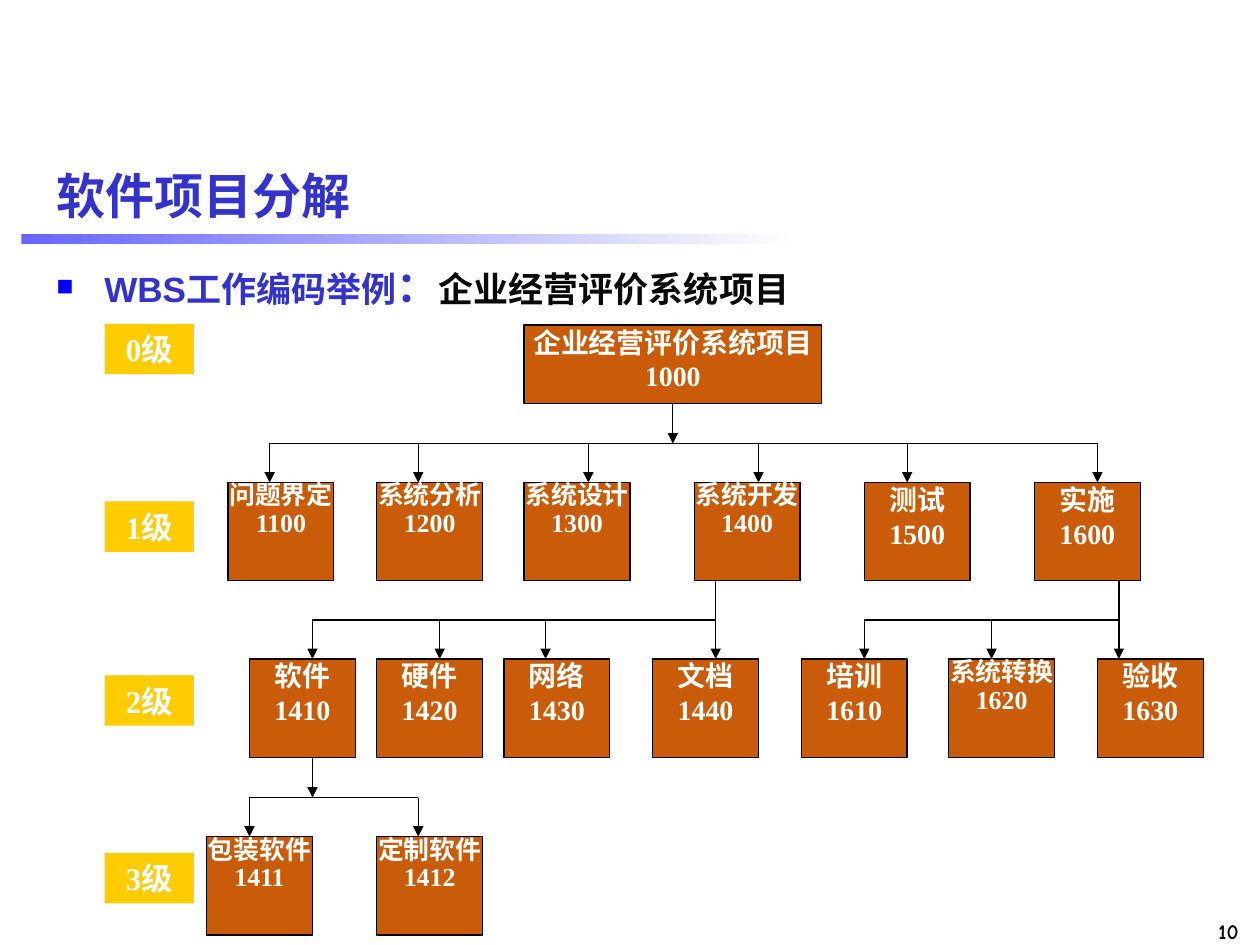
from lxml import etree
from pptx import Presentation
from pptx.dml.color import RGBColor
from pptx.enum.shapes import MSO_CONNECTOR, MSO_SHAPE
from pptx.enum.text import MSO_ANCHOR, PP_ALIGN
from pptx.oxml.ns import qn
from pptx.util import Inches, Pt

LEFT, CENTER, RIGHT = PP_ALIGN.LEFT, PP_ALIGN.CENTER, PP_ALIGN.RIGHT
TOP, MIDDLE = MSO_ANCHOR.TOP, MSO_ANCHOR.MIDDLE
RECTANGLE, STRAIGHT = MSO_SHAPE.RECTANGLE, MSO_CONNECTOR.STRAIGHT

BLUE, BULLET_BLUE, BLACK, WHITE = "3333CC", "0000FF", "000000", "FFFFFF"
BROWN, YELLOW = "CA5B08", "FFCC00"

TITLE = "软件项目分解"
HEADING = [("WBS工作编码举例", 20, BLUE), ("：", 24, BLUE),
           ("企业经营评价系统项目", 20, "080808")]
PAGE_NUMBER = "10"
LEVELS = [("0级", 2.57), ("1级", 3.98), ("2级", 5.36), ("3级", 6.77)]

ROOT = ("企业经营评价系统项目", "1000", 4.16)
TASK_ROWS = [
    (3.83, [("问题界定", "1100", 1.81), ("系统分析", "1200", 2.99),
            ("系统设计", "1300", 4.16), ("系统开发", "1400", 5.51),
            ("测试", "1500", 6.86), ("实施", "1600", 8.21)]),
    (5.23, [("软件", "1410", 1.98), ("硬件", "1420", 2.99),
            ("网络", "1430", 4), ("文档", "1440", 5.18),
            ("培训", "1610", 6.36), ("系统转换", "1620", 7.53),
            ("验收", "1630", 8.71)]),
    (6.64, [("包装软件", "1411", 1.64), ("定制软件", "1412", 2.99)]),
]
ROOT_TOP, ROOT_WIDTH, ROOT_HEIGHT = 2.58, 2.36, 0.62
TASK_WIDTH, TASK_HEIGHT, DROP = 0.84, 0.78, 0.31

BRANCHES = [
    {"stem": 5.34, "start": 3.2, "row": 3.83,
     "drops": [2.14, 3.32, 4.67, 6.02, 7.2, 8.71]},
    {"stem": 5.68, "start": 4.61, "row": 5.23, "drops": [2.48, 3.49, 4.33, 5.68]},
    {"stem": 8.88, "start": 4.61, "row": 5.23, "drops": [6.86, 7.87, 8.88]},
    {"stem": 2.48, "start": 6.01, "row": 6.64, "drops": [1.98, 3.32]},
]


def color(hex_value):
    return RGBColor.from_string(hex_value)


def write(shape, paragraphs, font="Times New Roman", size=16, fill=WHITE,
          align=CENTER, anchor=TOP, inset=(0, 0), spacing=None, wrap=True):
    frame = shape.text_frame
    frame.word_wrap = wrap
    frame.vertical_anchor = anchor
    frame.margin_left = frame.margin_right = Inches(inset[0])
    frame.margin_top = frame.margin_bottom = Inches(inset[1])
    for index, content in enumerate(paragraphs):
        paragraph = frame.add_paragraph() if index else frame.paragraphs[0]
        paragraph.alignment = align
        if spacing:
            paragraph.line_spacing = spacing
        runs = [(content, size, fill)] if isinstance(content, str) else content
        for text, run_size, run_fill in runs:
            run = paragraph.add_run()
            run.text = text
            run.font.name = font
            run.font.size = Pt(run_size)
            run.font.bold = True
            run.font.color.rgb = color(run_fill)


def add_box(slide, left, top, width, height, fill, outline=None):
    box = slide.shapes.add_shape(RECTANGLE, Inches(left), Inches(top),
                                 Inches(width), Inches(height))
    box.shadow.inherit = False
    box.fill.solid()
    box.fill.fore_color.rgb = color(fill)
    if outline:
        box.line.color.rgb = color(outline)
        box.line.width = Pt(0.75)
    else:
        box.line.fill.background()
    return box


def add_task(slide, name, code, left, top, width=TASK_WIDTH, height=TASK_HEIGHT):
    task = add_box(slide, left, top, width, height, BROWN, BLACK)
    tight = len(name) == 4
    write(task, [name, code], size=14.8 if tight else 16,
          spacing=0.9 if tight else None)


def add_line(slide, x1, y1, x2, y2, arrow=False):
    line = slide.shapes.add_connector(STRAIGHT, Inches(x1), Inches(y1),
                                      Inches(x2), Inches(y2))
    line.line.color.rgb = color(BLACK)
    line.line.width = Pt(0.75)
    if arrow:
        etree.SubElement(line.line._get_or_add_ln(), qn("a:tailEnd"), type="triangle")
    etree.SubElement(line._element.spPr, qn("a:effectLst"))


def add_branch(slide, stem, start, row, drops):
    bus = row - DROP
    add_line(slide, drops[0], bus, drops[-1], bus)
    for x in drops:
        add_line(slide, x, start if x == stem else bus, x, row, arrow=True)
    if stem not in drops:
        add_line(slide, stem, start, stem, bus, arrow=True)


def add_text_box(slide, left, top, width, height):
    return slide.shapes.add_textbox(Inches(left), Inches(top),
                                    Inches(width), Inches(height))


def add_heading(slide):
    heading = add_text_box(slide, 0.35, 2.02, 9.45, 0.55)
    properties = heading.text_frame.paragraphs[0]._p.get_or_add_pPr()
    properties.set("marL", str(Inches(0.38)))
    properties.set("indent", str(-Inches(0.38)))
    bullet_color = etree.SubElement(properties, qn("a:buClr"))
    etree.SubElement(bullet_color, qn("a:srgbClr"), val=BULLET_BLUE)
    etree.SubElement(properties, qn("a:buSzPct"), val="80000")
    etree.SubElement(properties, qn("a:buFont"), typeface="Arial")
    etree.SubElement(properties, qn("a:buChar"), char="■")
    write(heading, [HEADING], font="Arial", align=LEFT, inset=(0.1, 0.05))


def main():
    deck = Presentation()
    deck.slide_width, deck.slide_height = Inches(10), Inches(7.5)
    slide = deck.slides.add_slide(deck.slide_layouts[5])

    rule = add_box(slide, 0.17, 1.86, 6.17, 0.08, WHITE)
    rule.fill.gradient()
    rule.fill.gradient_angle = 0
    for stop, position, shade in zip(rule.fill.gradient_stops, (0, 1), ("6666FF", WHITE)):
        stop.position = position
        stop.color.rgb = color(shade)

    title = slide.shapes.title
    title.left, title.top = Inches(0.35), Inches(1.15)
    title.width, title.height = Inches(9.45), Inches(0.79)
    write(title, [TITLE], font="Arial", size=28, fill=BLUE, align=LEFT,
          anchor=MIDDLE, inset=(0.1, 0.05))
    add_heading(slide)

    add_task(slide, *ROOT, ROOT_TOP, ROOT_WIDTH, ROOT_HEIGHT)
    for top, tasks in TASK_ROWS:
        for name, code, left in tasks:
            add_task(slide, name, code, left, top)
    for branch in BRANCHES:
        add_branch(slide, **branch)
    for label, top in LEVELS:
        level = add_box(slide, 0.83, top, 0.71, 0.4, YELLOW)
        write(level, [label], size=18, anchor=MIDDLE, inset=(0.1, 0.05))

    page = add_text_box(slide, 9.01, 7.24, 0.92, 0.3)
    write(page, [PAGE_NUMBER], font="Comic Neue", size=12, fill=BLACK,
          align=RIGHT, inset=(0.1, 0.05), wrap=False)
    deck.save("out.pptx")


if __name__ == "__main__":
    main()
